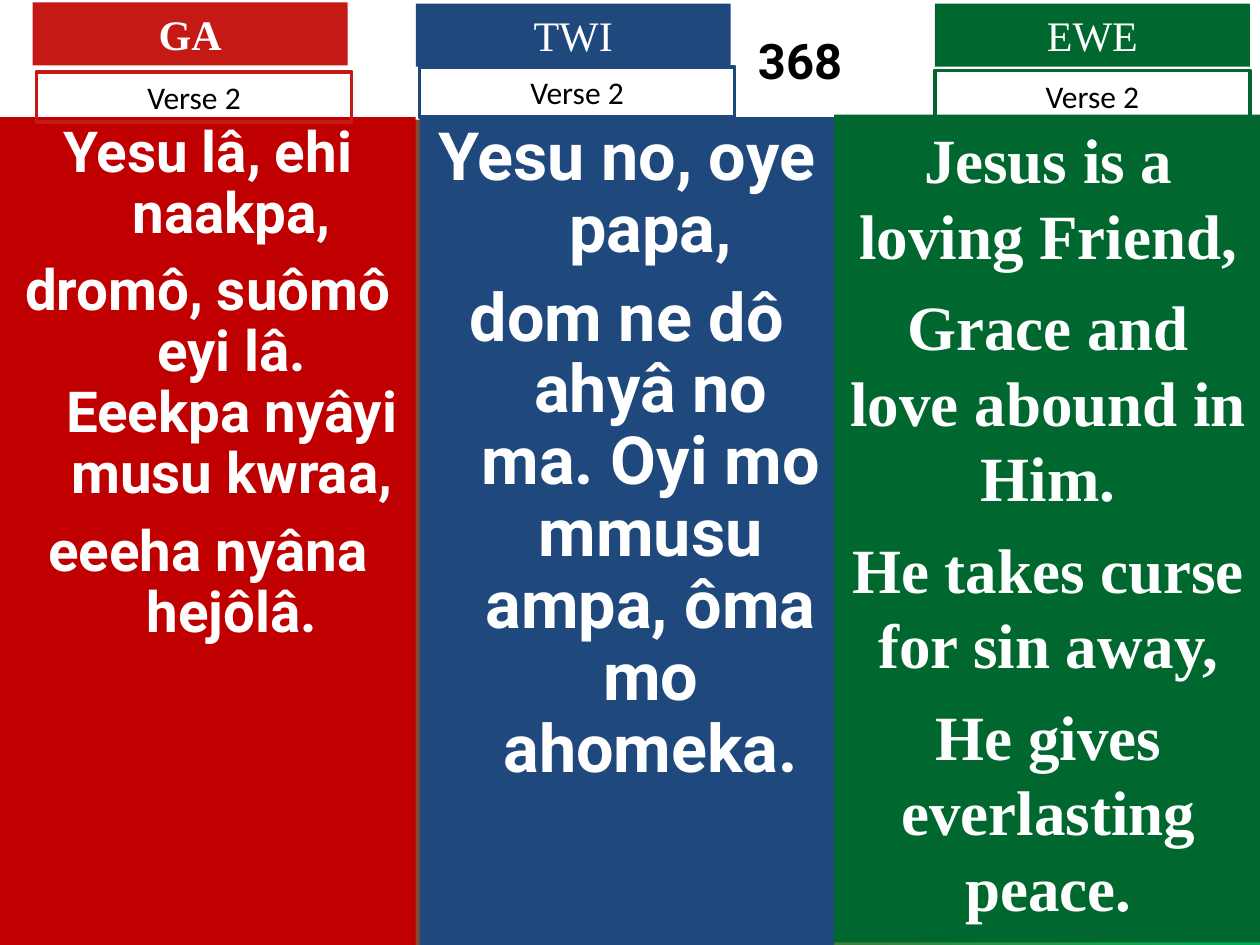
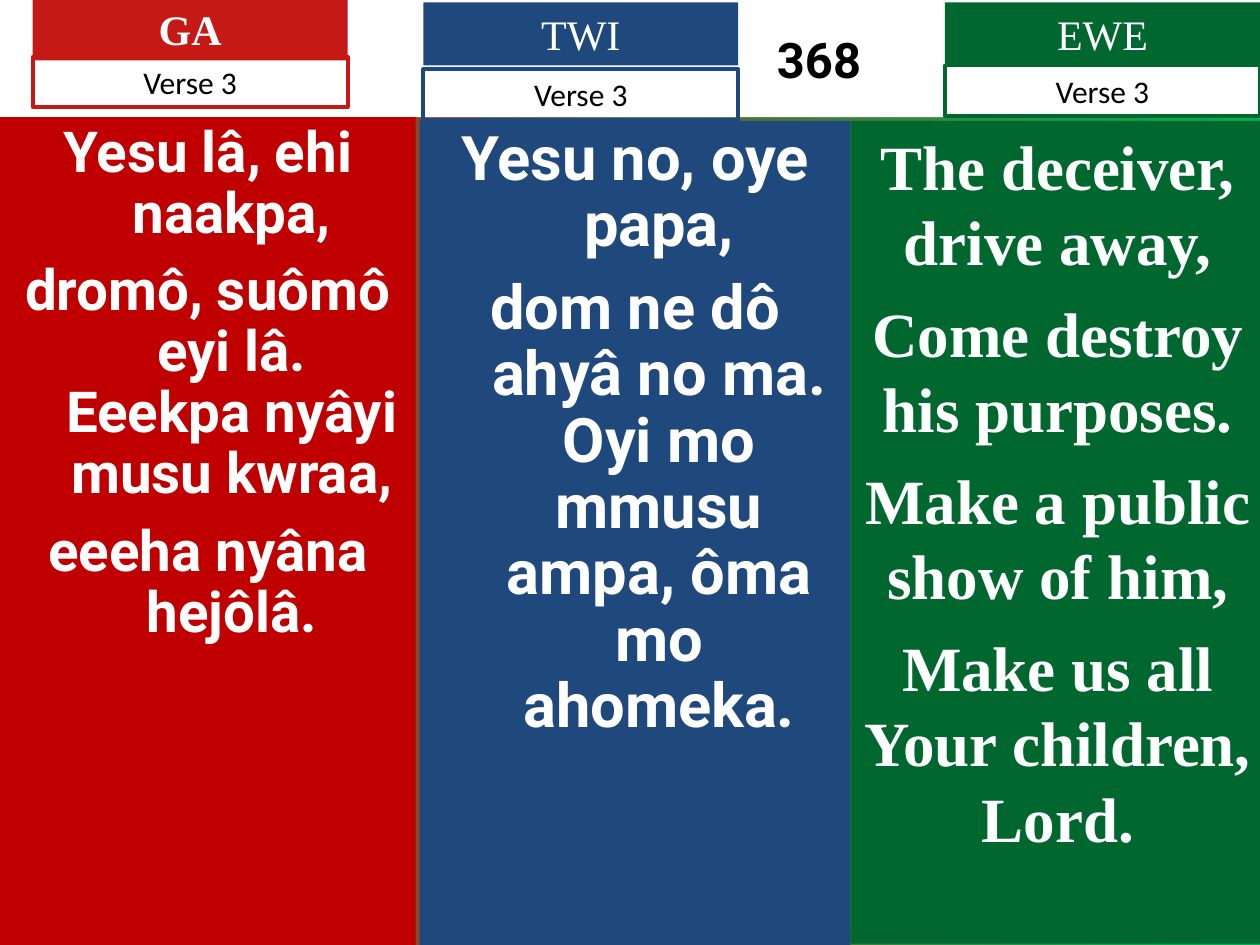
from pptx import Presentation
from pptx.dml.color import RGBColor
from pptx.enum.text import MSO_ANCHOR, MSO_AUTO_SIZE, PP_ALIGN
from pptx.util import Inches, Pt

CENTER = PP_ALIGN.CENTER
MIDDLE = MSO_ANCHOR.MIDDLE
FIXED = MSO_AUTO_SIZE.NONE

RED, CRIMSON, BLUE, GREEN = "C51915", "C00000", "1F497D", "00682F"
LIME, WHITE, BLACK = "00B050", "FFFFFF", "000000"
SANS, SERIF, LABEL = "Roboto", "Times New Roman", "Calibri"
TAG_W, TAG_H, VERSE_H = 2.5, 0.5, 0.4

GA = ["Yesu lâ, ehi naakpa,",
      "dromô, suômô eyi lâ. Eeekpa nyâyi musu kwraa,",
      "eeeha nyâna hejôlâ."]
TWI = ["Yesu no, oye papa,",
       "dom ne dô ahyâ no ma. Oyi mo mmusu ampa, ôma mo ahomeka."]
EWE2 = ["Jesus is a loving Friend,", "Grace and love abound in Him.",
        "He takes curse for sin away,", "He gives everlasting peace."]
EWE3 = ["The deceiver, drive away,", "Come destroy his purposes.",
        "Make a public show of him,", "Make us all Your children, Lord."]


def rgb(code):
    return RGBColor.from_string(code)


def paint(shape, code):
    shape.fill.solid()
    shape.fill.fore_color.rgb = rgb(code)


def write(frame, lines, font, size, color, bold=False, gap=0):
    """Fill a text frame with centred paragraphs, spaced by gap points."""
    frame.word_wrap = True
    frame.auto_size = FIXED
    for i, line in enumerate(lines):
        para = frame.paragraphs[0] if i == 0 else frame.add_paragraph()
        para.text = line
        para.alignment = CENTER
        para.space_before = Pt(gap if i else 0)
        para.font.name = font
        para.font.size = Pt(size)
        para.font.bold = bold
        para.font.color.rgb = rgb(color)


def add_box(slide, box):
    return slide.shapes.add_textbox(*map(Inches, box))


def add_title(slide, height, indent):
    """White band whose number is centred right of the indent."""
    title = slide.shapes.title
    title.left = title.top = 0
    title.width, title.height = Inches(10), Inches(height)
    paint(title, WHITE)
    frame = title.text_frame
    write(frame, ["368"], SANS, 28, BLACK, True)
    frame.vertical_anchor = MIDDLE
    frame.margin_left = Inches(indent)


def add_hymn(slide, box, color, lines, size):
    """Panel with hanging indents and tight lines."""
    panel = add_box(slide, box)
    paint(panel, color)
    write(panel.text_frame, lines, SANS, size, WHITE, True, 9.5)
    for para in panel.text_frame.paragraphs:
        para.line_spacing = 0.9
        props = para._p.get_or_add_pPr()
        props.set("marL", str(Inches(0.38)))
        props.set("indent", str(Inches(-0.38)))


def add_ewe(slide, box, lines):
    panel = add_box(slide, box)
    paint(panel, GREEN)
    write(panel.text_frame, lines, SERIF, 36, WHITE, True, 9)


def add_head(slide, tag_at, verse_at, name, verse, color):
    """Language tag and the outlined verse label under it."""
    tag = add_box(slide, (*tag_at, TAG_W, TAG_H))
    paint(tag, color)
    write(tag.text_frame, [name], SERIF, 24, WHITE, name == "GA")
    label = add_box(slide, (*verse_at, TAG_W, VERSE_H))
    label.line.color.rgb = rgb(color)
    label.line.width = Pt(2.25)
    write(label.text_frame, [f"Verse {verse}"], LABEL, 18, BLACK)


def add_verse(deck, verse, band, twi, ewe, heads):
    """One slide: title band, three panels, then three heads."""
    slide = deck.slides.add_slide(deck.slide_layouts[5])
    fill = slide.background.fill
    fill.gradient()
    fill.gradient_angle = 0
    for stop, color in zip(fill.gradient_stops, (RED, LIME)):
        stop.color.rgb = rgb(color)
    add_title(slide, *band)
    add_hymn(slide, (0, 0.93, 3.3, 6.57), CRIMSON, GA, 32.3)
    twi_box, size = twi
    add_hymn(slide, twi_box, BLUE, TWI, size)
    add_ewe(slide, *ewe)
    names = (("GA", RED), ("TWI", BLUE), ("EWE", GREEN))
    for (name, color), (tag_at, verse_at) in zip(names, heads):
        add_head(slide, tag_at, verse_at, name, verse, color)


def main():
    deck = Presentation()
    deck.slide_width, deck.slide_height = Inches(10), Inches(7.5)
    add_verse(deck, 2, (0.95, 2.8),
              ((3.33, 0.93, 3.29, 6.57), 38),
              ((6.62, 0.91, 3.4, 6.57), EWE2),
              [((0.26, 0.02), (0.29, 0.57)),
               ((3.3, 0.03), (3.33, 0.53)),
               ((7.42, 0.03), (7.42, 0.56))])
    add_verse(deck, 3, (0.93, 3.1),
              ((3.33, 0.96, 3.42, 6.54), 35.1),
              ((6.75, 0.96, 3.29, 6.53), EWE3),
              [((0.26, -0.02), (0.26, 0.45)),
               ((3.36, 0.02), (3.36, 0.55)),
               ((7.5, 0.02), (7.5, 0.52))])
    deck.save("out.pptx")


if __name__ == "__main__":
    main()
